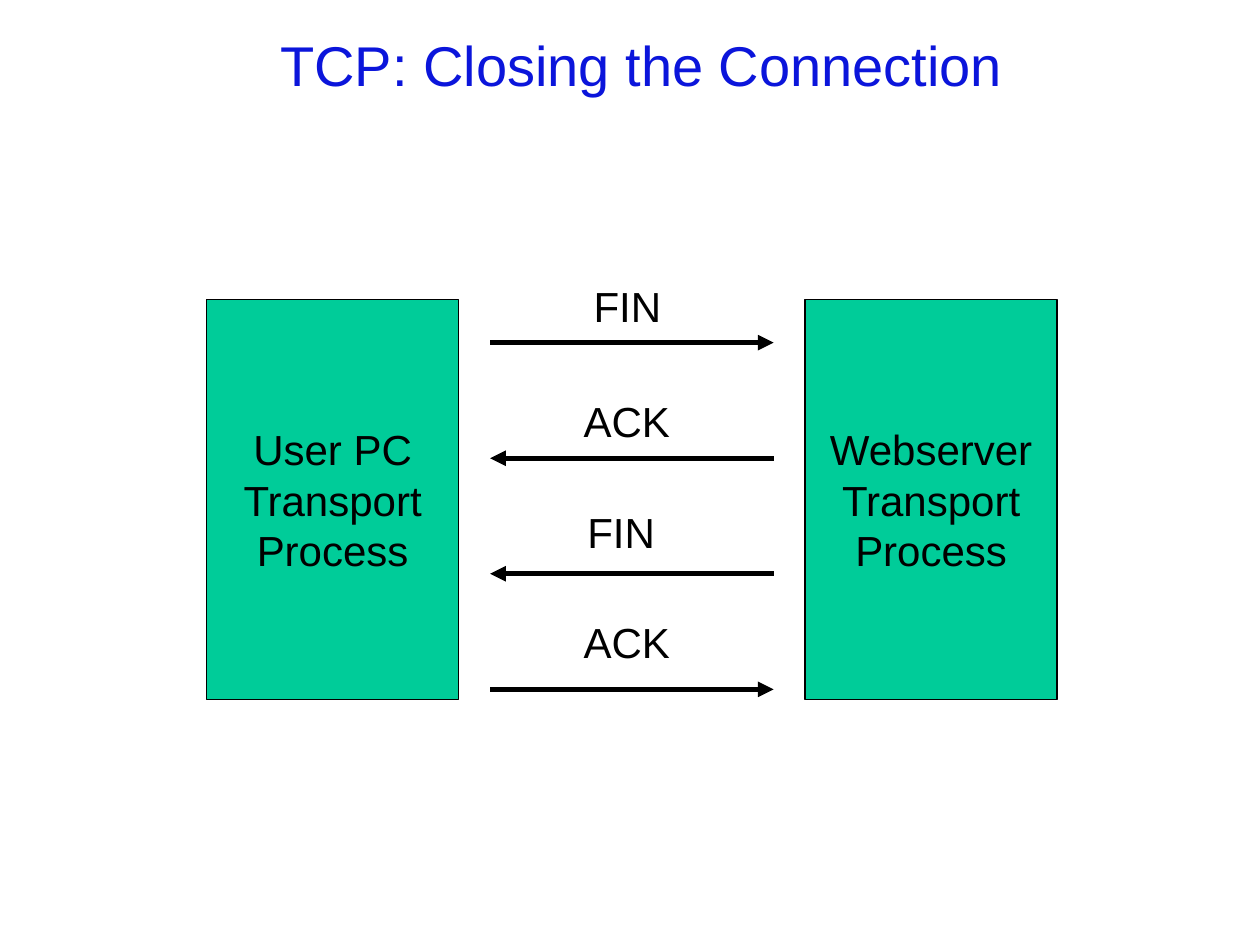
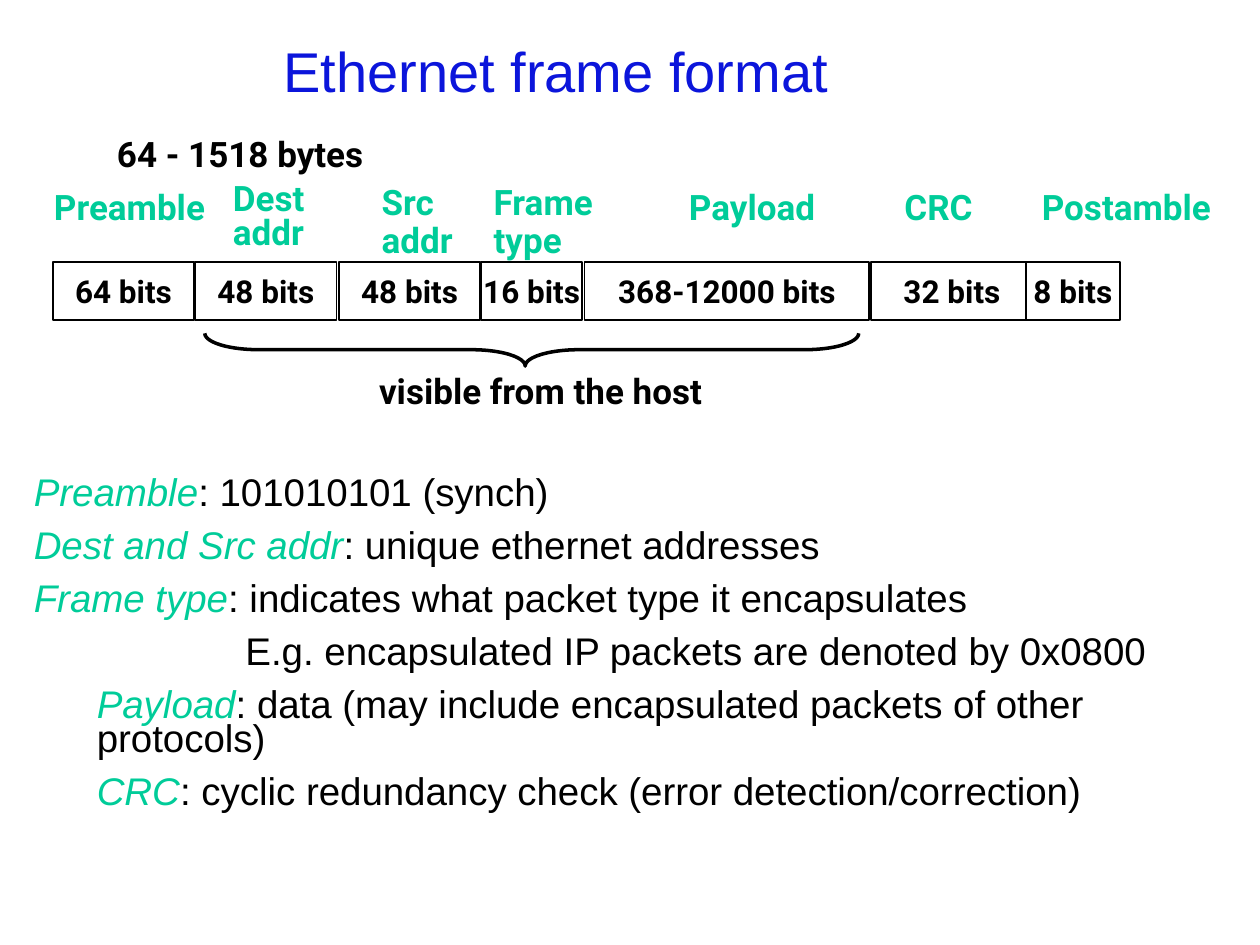
"""Build two slides on closing a TCP connection and the Ethernet frame format."""
from lxml.etree import SubElement
from pptx import Presentation
from pptx.dml.color import RGBColor
from pptx.enum.shapes import MSO_CONNECTOR as Connector, MSO_SHAPE as Shape
from pptx.enum.text import MSO_ANCHOR as Anchor, PP_ALIGN as Align
from pptx.oxml.ns import qn
from pptx.util import Inches, Pt

COLORS = {"title": "0B15DB", "accent": "00CC99", "ink": "000000", "paper": "FFFFFF"}
UNIT = Inches(0.1)
COLUMNS, ROWS = 100, 75


def color(name):
    return RGBColor.from_string(COLORS[name])


def add_box(page, area, text, size, ink="ink", font="Arial", bold=False, align=Align.CENTER,
            anchor=Anchor.TOP, spacing=None, wrap=False, fill=None, border=1):
    area = [int(value * UNIT) for value in area]
    if fill:
        box = page.shapes.add_shape(Shape.RECTANGLE, *area)
        box.shadow.inherit = False
        box.fill.solid()
        box.fill.fore_color.rgb = color(fill)
        box.line.color.rgb = color("ink")
        box.line.width = Pt(border)
    else:
        box = page.shapes.add_textbox(*area)
    frame = box.text_frame
    frame.text = text
    frame.word_wrap = wrap
    frame.vertical_anchor = anchor
    for para in frame.paragraphs:
        para.alignment = align
        para.line_spacing = spacing
        for span in para.runs:
            span.font.size = Pt(size)
            span.font.name = font
            span.font.bold = bold
            span.font.color.rgb = color(ink)
    return box


deck = Presentation()
deck.slide_width, deck.slide_height = COLUMNS * UNIT, ROWS * UNIT
TITLES = [("TCP: Closing the Connection", (6.8, 0.9, 88.3, 8.3)),
          ("Ethernet frame format", (3.1, 2.6, 82.1, 5.9))]
pages = []
for title, area in TITLES:
    page = deck.slides.add_slide(deck.slide_layouts[6])
    add_box(page, area, title, 32, "title", anchor=Anchor.MIDDLE, wrap=True)
    pages.append(page)
closing, ethernet = pages

for left, host in [(16.4, "User PC"), (63.9, "Webserver")]:
    add_box(closing, (left, 23.8, 20, 31.7), f"{host}\nTransport\nProcess", 24,
            anchor=Anchor.MIDDLE, fill="accent", border=0.75)

MESSAGES = [("FIN", 46.1, 21.8, "headEnd"), ("ACK", 45.3, 30.9, "tailEnd"),
            ("FIN", 45.6, 39.7, "tailEnd"), ("ACK", 45.3, 48.4, "headEnd")]
LABEL_WIDTHS = {"FIN": 7.4, "ACK": 8.9}
for step, (message, left, top, arrow_end) in enumerate(MESSAGES):
    level = int((27.2 + 9.17 * step) * UNIT)
    arrow = closing.shapes.add_connector(Connector.STRAIGHT, int(61.4 * UNIT), level,
                                         int(38.9 * UNIT), level)
    arrow.line.color.rgb = color("ink")
    arrow.line.width = Pt(3)
    SubElement(arrow.line._get_or_add_ln(), qn(f"a:{arrow_end}"), type="triangle")
    SubElement(arrow._element.spPr, qn("a:effectLst"))
    add_box(closing, (left, top, LABEL_WIDTHS[message], 5), message, 24)

CAPTION = {"size": 20, "font": "Roboto", "bold": True, "align": Align.LEFT}
add_box(ethernet, (8.3, 10, 23.5, 4.3), "64 - 1518 bytes", wrap=True, **CAPTION)

FIELDS = [("Preamble", 3.3, 15, 4.3, None, "64 bits", 4.2, 11.2),
          ("Dest\naddr", 17.5, 8, 6.3, 0.8, "48 bits", 15.5, 11.2),
          ("Src\naddr", 29.3, 8, 7, 0.9, "48 bits", 26.9, 11.2),
          ("Frame\ntype", 38.2, 10.3, 7, 0.9, "16 bits", 38.2, 8),
          ("Payload", 53.7, 12.6, 4.3, None, "368-12000 bits", 46.4, 22.6),
          ("CRC", 70.8, 8, 4.3, None, "32 bits", 69.1, 12.9),
          ("Postamble", 81.7, 16, 4.3, None, "8 bits", 81.4, 7.5)]
for name, left, width, height, spacing, bits, cell_left, cell_width in FIELDS:
    add_box(ethernet, (left, 14.2, width, height), name, ink="accent", spacing=spacing,
            wrap=name == "Preamble", **CAPTION)
    add_box(ethernet, (cell_left, 20.8, cell_width, 4.6), bits, 18, font="Roboto", bold=True,
            anchor=Anchor.MIDDLE, fill="paper")

brace = ethernet.shapes.add_shape(
    Shape.LEFT_BRACE, *[int(value * UNIT) for value in (40.9, 1.8, 2.6, 51.9)])
brace.rotation = 270
brace.adjustments[0], brace.adjustments[1] = 1.65, 0.49
brace.shadow.inherit = False
brace.fill.background()
brace.line.color.rgb = color("ink")
brace.line.width = Pt(2)
add_box(ethernet, (29.1, 28.8, 29.1, 4.3), "visible from the host", **CAPTION)

NOTES = [("Preamble", ": 101010101 (synch)", 0),
         ("Dest and Src addr", ": unique ethernet addresses", 0),
         ("Frame type", ": indicates what packet type it encapsulates", 0),
         ("", "E.g. encapsulated IP packets are denoted by 0x0800", 16.8),
         ("Payload", ": data (may include encapsulated packets of other protocols)", 5),
         ("CRC", ": cyclic redundancy check (error detection/correction)", 5)]
notes = add_box(ethernet, (1.7, 37.5, 96.7, 25.6), "\n".join(term for term, *_ in NOTES), 22,
                "accent", align=Align.LEFT, spacing=0.75, wrap=True)
for order, (para, (term, meaning, indent)) in enumerate(zip(notes.text_frame.paragraphs, NOTES)):
    para._p.get_or_add_pPr().set("marL", str(int(indent * UNIT)))
    if order:
        para.space_before = Pt(10.5)
    for span in para.runs:
        span.font.italic = True
    span = para.add_run()
    span.text = meaning
    span.font.size = Pt(22)
    span.font.name = "Arial"
    span.font.color.rgb = color("ink")

deck.save("out.pptx")
